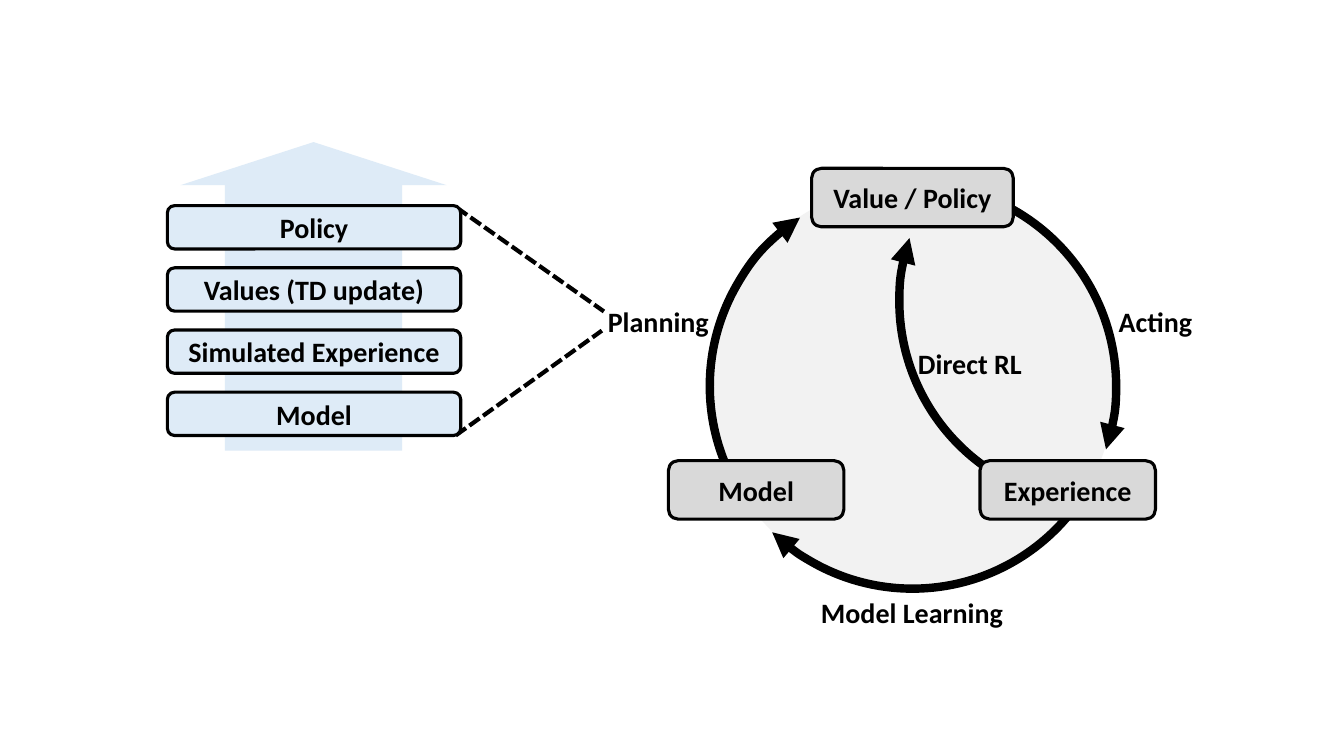
from lxml import etree
from pptx import Presentation
from pptx.dml.color import RGBColor
from pptx.enum.dml import MSO_LINE
from pptx.enum.shapes import MSO_CONNECTOR, MSO_SHAPE
from pptx.enum.text import MSO_ANCHOR, PP_ALIGN
from pptx.oxml.ns import qn
from pptx.util import Inches, Pt

BLACK = RGBColor(0x00, 0x00, 0x00)
DISC_GRAY = RGBColor(0xF2, 0xF2, 0xF2)
BOX_GRAY = RGBColor(0xD9, 0xD9, 0xD9)
PALE_BLUE = RGBColor(0xDE, 0xEB, 0xF7)

ARC, OVAL, UP_ARROW = MSO_SHAPE.ARC, MSO_SHAPE.OVAL, MSO_SHAPE.UP_ARROW
ROUNDED = MSO_SHAPE.ROUNDED_RECTANGLE
STRAIGHT, DASH = MSO_CONNECTOR.STRAIGHT, MSO_LINE.SQUARE_DOT
CENTER, MIDDLE = PP_ALIGN.CENTER, MSO_ANCHOR.MIDDLE


def add_part(group, kind, left, top, width, height, fill=None, line_width=None):
    part = group.shapes.add_shape(
        kind, Inches(left), Inches(top), Inches(width), Inches(height))
    part.shadow.inherit = False
    if fill is None:
        part.fill.background()
    else:
        part.fill.solid()
        part.fill.fore_color.rgb = fill
    if line_width is None:
        part.line.fill.background()
    else:
        part.line.color.rgb = BLACK
        part.line.width = Pt(line_width)
    return part


def write(part, text, size=20, bold=True, color=BLACK, font="Calibri"):
    frame = part.text_frame
    frame.word_wrap = True
    frame.vertical_anchor = MIDDLE
    paragraph = frame.paragraphs[0]
    paragraph.alignment = CENTER
    run = paragraph.add_run()
    run.text = text
    run.font.name = font
    run.font.size = Pt(size)
    run.font.bold = bold
    run.font.color.rgb = color


prs = Presentation()
prs.slide_width, prs.slide_height = Inches(13.33), Inches(7.5)
slide = prs.slides.add_slide(prs.slide_layouts[6])

# Dashed lines from the planning stack to its label
for x1, y1, x2, y2 in [(4.53, 2.06, 5.99, 3.09), (4.52, 4.32, 5.97, 3.28)]:
    zoom_line = slide.shapes.add_connector(
        STRAIGHT, Inches(x1), Inches(y1), Inches(x2), Inches(y2))
    zoom_line.line.color.rgb = BLACK
    zoom_line.line.width = Pt(3)
    zoom_line.line.dash_style = DASH
    etree.SubElement(zoom_line._element.spPr, qn("a:effectLst"))

# Learning cycle: disc and clockwise arrows (left, top, start and end degrees)
cycle = slide.shapes.add_group_shape()
DIAMETER = 4.02
add_part(cycle, OVAL, 7.04, 1.81, DIAMETER, DIAMETER, fill=DISC_GRAY)
cycle_arrows = [
    (7.04, 1.82, 146.3, 236.3),  # planning
    (7.04, 1.82, 36.6, 133.8),   # model learning
    (7.05, 1.82, 288.2, 18.2),   # acting
    (8.92, 0.98, 108.2, 198.2),  # direct RL
]
for left, top, start, end in cycle_arrows:
    arrow = add_part(cycle, ARC, left, top, DIAMETER, DIAMETER, line_width=6)
    # Arc angles are stored in 1/60000 degree, adjustments in 1/100000
    arrow.adjustments[0] = start * 0.6
    arrow.adjustments[1] = end * 0.6
    etree.SubElement(arrow.line._get_or_add_ln(), qn("a:tailEnd"), type="triangle")

# Cycle stages
CYCLE_HEIGHT = 0.58
for text, left, top, width in [
    ("Value / Policy", 8.05, 1.67, 2),
    ("Model", 6.63, 4.57, 1.74),
    ("Experience", 9.72, 4.57, 1.74),
]:
    stage = add_part(cycle, ROUNDED, left, top, width, CYCLE_HEIGHT,
                     fill=BOX_GRAY, line_width=2.25)
    write(stage, text)

# Arrow labels
for text, left, top, width in [
    ("Planning", 5.66, 2.9, 1.74),
    ("Acting", 10.59, 2.9, 1.74),
    ("Direct RL", 8.75, 3.31, 1.74),
    ("Model Learning", 7.9, 5.78, 2.29),
]:
    write(add_part(cycle, ROUNDED, left, top, width, CYCLE_HEIGHT), text)

# Planning stack on its upward arrow
planning = slide.shapes.add_group_shape()
upward = add_part(planning, UP_ARROW, 1.79, 1.41, 2.64, 3.06, fill=PALE_BLUE)
upward.adjustments[0] = 0.666
upward.adjustments[1] = 0.162
STACK_TOP, STACK_PITCH = 2.04, 0.617
steps = ["Policy", "Values (TD update)", "Simulated Experience", "Model"]
for row, text in enumerate(steps):
    step = add_part(planning, ROUNDED, 1.66, STACK_TOP + row * STACK_PITCH,
                    2.91, 0.43, fill=PALE_BLUE, line_width=2.25)
    write(step, text)

prs.save("out.pptx")
